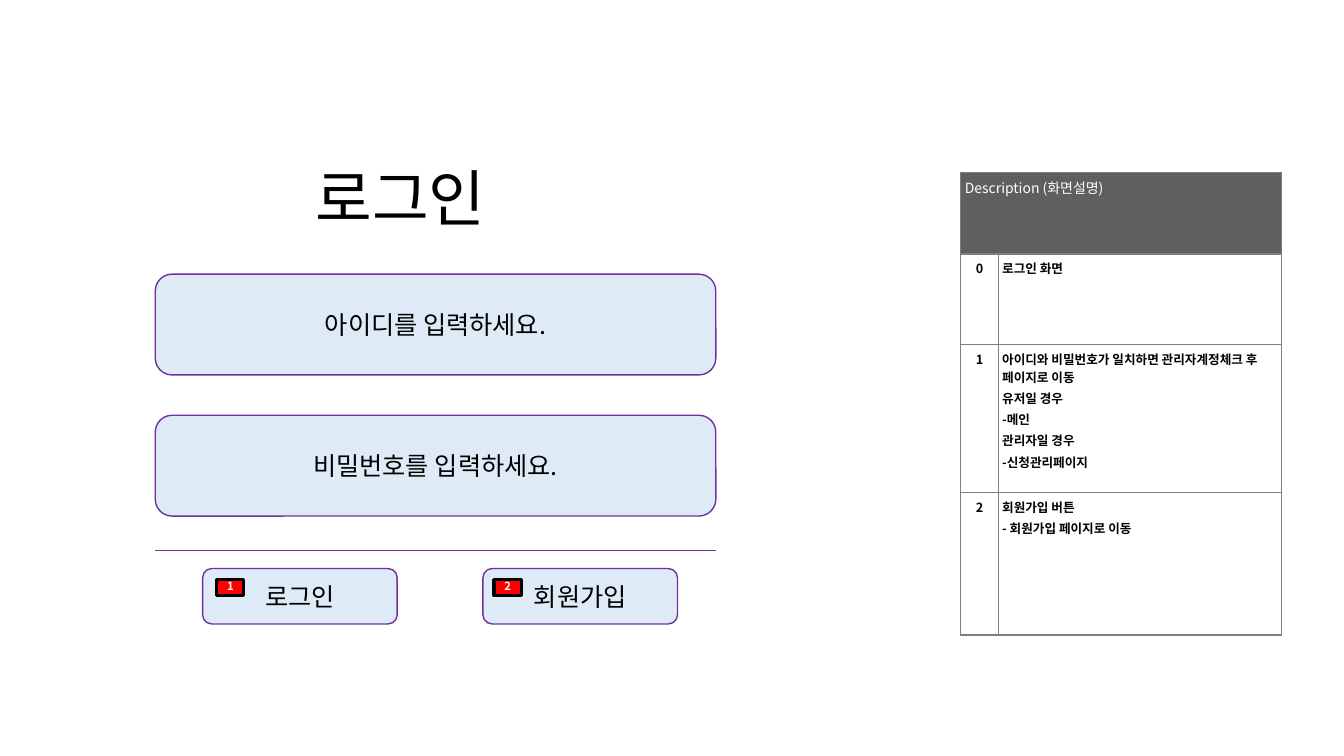
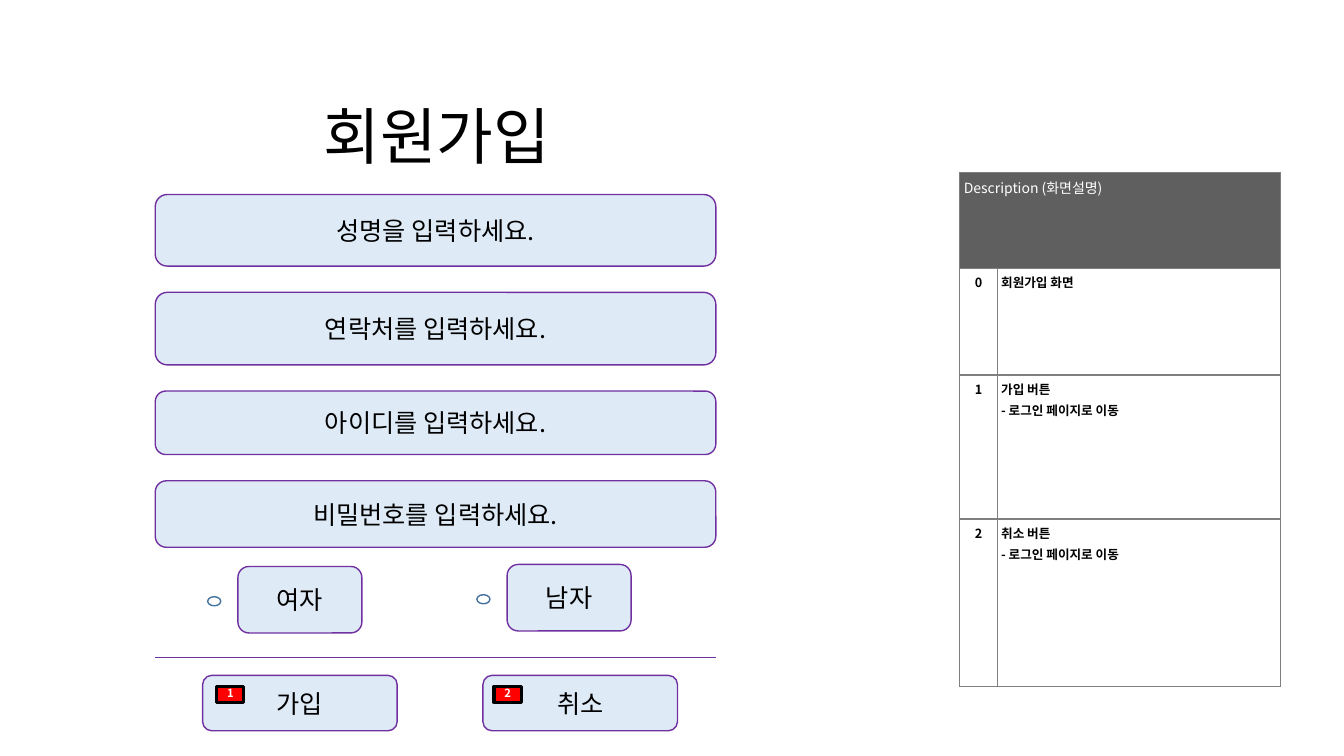
from lxml.etree import SubElement
from pptx import Presentation
from pptx.dml.color import RGBColor
from pptx.enum.shapes import MSO_CONNECTOR as Line, MSO_SHAPE as Shape
from pptx.enum.text import MSO_ANCHOR as Anchor, PP_ALIGN as Align
from pptx.oxml.ns import qn
from pptx.util import Inches, Pt

FONT = "Noto Sans CJK KR"
BLACK, WHITE, RED = "000000", "FFFFFF", "FF0000"
FIELD_BLUE, PURPLE, RADIO_BLUE = "DEEBF7", "7030A0", "43739E"
HEADER_GRAY, BORDER_GRAY = "5F5F5F", "7F7F7F"

FORM_LEFT, FORM_WIDTH = 1.54, 5.56
BUTTON_LEFTS, BADGE_LEFTS = (2.01, 4.79), (2.15, 4.9)


def color(value):
    return RGBColor.from_string(value)


class Wireframe:
    """Holds the deck, its style and the current slide."""

    def __init__(self):
        self.deck = Presentation()
        self.deck.slide_width, self.deck.slide_height = Inches(13.33), Inches(7.5)
        self.slide = None

    def add_text(self, paragraph, text, size, tint=BLACK, bold=False, align=Align.LEFT):
        paragraph.alignment = align
        run = paragraph.add_run()
        run.text = text
        run.font.size, run.font.bold, run.font.name = Pt(size), bold, FONT
        run.font.color.rgb = color(tint)
        SubElement(run.font._element, qn("a:ea"), typeface=FONT)

    def screen(self, title, left, top):
        self.slide = self.deck.slides.add_slide(self.deck.slide_layouts[5])
        heading = self.slide.shapes.title
        heading.left, heading.top = Inches(left), Inches(top)
        heading.width, heading.height = Inches(3.85), Inches(0.84)
        heading.text_frame.vertical_anchor = Anchor.TOP
        self.add_text(heading.text_frame.paragraphs[0], title, 44)

    def shape(self, kind, box, fill, line, weight=1):
        item = self.slide.shapes.add_shape(kind, *map(Inches, box))
        item.shadow.inherit = False
        if fill:
            item.fill.solid()
            item.fill.fore_color.rgb = color(fill)
        else:
            item.fill.background()
        item.line.color.rgb = color(line)
        item.line.width = Pt(weight)
        return item

    def field(self, text, left, top, width, height):
        box = self.shape(Shape.ROUNDED_RECTANGLE, (left, top, width, height),
                         FIELD_BLUE, PURPLE)
        frame = box.text_frame
        frame.word_wrap, frame.vertical_anchor = True, Anchor.MIDDLE
        self.add_text(frame.paragraphs[0], text, 18, align=Align.CENTER)

    def badge(self, number, left, top):
        mark = self.shape(Shape.RECTANGLE, (left, top, 0.27, 0.16), RED, BLACK, 2.25)
        frame = mark.text_frame
        frame.margin_left = frame.margin_right = frame.margin_top = 0
        frame.margin_bottom = Inches(0.03)
        frame.word_wrap, frame.vertical_anchor = False, Anchor.MIDDLE
        self.add_text(frame.paragraphs[0], str(number), 8, WHITE, True, Align.CENTER)

    def radio(self, text, left, top):
        self.field(text, left, top, 1.23, 0.66)
        self.shape(Shape.OVAL, (left - 0.3, top + 0.3, 0.13, 0.09), None, RADIO_BLUE)

    def actions(self, labels, top):
        """Divider with the numbered buttons below it."""
        divider = self.slide.shapes.add_connector(
            Line.STRAIGHT, Inches(FORM_LEFT), Inches(top),
            Inches(FORM_LEFT + FORM_WIDTH), Inches(top))
        divider.line.color.rgb = color(PURPLE)
        divider.line.width = Pt(0.5)
        SubElement(divider._element.spPr, qn("a:effectLst"))
        for label, left in zip(labels, BUTTON_LEFTS):
            self.field(label, left, top + 0.18, 1.93, 0.55)
        for number, left in enumerate(BADGE_LEFTS, 1):
            self.badge(number, left, top + 0.29)

    def cell(self, cell, lines, fill=WHITE, **style):
        properties = cell._tc.get_or_add_tcPr()
        for side in ("lnL", "lnR", "lnT", "lnB"):
            border = SubElement(properties, qn(f"a:{side}"), w=str(Pt(1)))
            solid = SubElement(border, qn("a:solidFill"))
            SubElement(solid, qn("a:srgbClr"), val=BORDER_GRAY)
        cell.fill.solid()
        cell.fill.fore_color.rgb = color(fill)
        cell.margin_left = cell.margin_right = Inches(0.04)
        cell.margin_top = cell.margin_bottom = Inches(0.05)
        frame = cell.text_frame
        for index, text in enumerate(lines):
            paragraph = frame.add_paragraph() if index else frame.paragraphs[0]
            paragraph.space_before = Pt(2)
            self.add_text(paragraph, text, **style)

    def description(self, left, heights, notes):
        table = self.slide.shapes.add_table(
            len(heights), 2, Inches(left), Inches(1.71),
            Inches(3.18), Inches(sum(heights))).table
        table.first_row = table.horz_banding = False
        for column, width in zip(table.columns, (0.37, 2.81)):
            column.width = Inches(width)
        for row, height in zip(table.rows, heights):
            row.height = Inches(height)
        # Header across both columns
        table.cell(0, 0).merge(table.cell(0, 1))
        self.cell(table.cell(0, 0), ["Description (화면설명)"], HEADER_GRAY,
                  size=10, tint=WHITE)
        self.cell(table.cell(0, 1), [], HEADER_GRAY)
        # Numbered notes
        for number, lines in enumerate(notes):
            self.cell(table.cell(number + 1, 0), [str(number)],
                      size=9, bold=True, align=Align.CENTER)
            self.cell(table.cell(number + 1, 1), lines, size=9, bold=True)


def login(page):
    page.screen("로그인", 3.03, 1.54)
    page.description(9.53, (0.81, 0.9, 1.47, 1.41), [
        ["로그인 화면"],
        ["아이디와 비밀번호가 일치하면 관리자계정체크 후 페이지로 이동",
         "유저일 경우", "-메인", "관리자일 경우", "-신청관리페이지"],
        ["회원가입 버튼", "- 회원가입 페이지로 이동"],
    ])
    for prompt, top in (("아이디를", 2.72), ("비밀번호를", 4.12)):
        page.field(f"{prompt} 입력하세요.", FORM_LEFT, top, FORM_WIDTH, 1)
    page.actions(("로그인", "회원가입"), 5.46)


def sign_up(page):
    page.screen("회원가입", 3.11, 0.92)
    page.description(9.52, (0.95, 1.06, 1.43, 1.66), [
        ["회원가입 화면"],
        ["가입 버튼", "- 로그인 페이지로 이동"],
        ["취소 버튼", "- 로그인 페이지로 이동"],
    ])
    prompts = (("성명을", 1.93, 0.71), ("연락처를", 2.9, 0.72),
               ("아이디를", 3.88, 0.63), ("비밀번호를", 4.77, 0.66))
    for prompt, top, height in prompts:
        page.field(f"{prompt} 입력하세요.", FORM_LEFT, top, FORM_WIDTH, height)
    page.radio("여자", 2.36, 5.62)
    page.radio("남자", 5.03, 5.6)
    page.actions(("가입", "취소"), 6.52)


def main():
    page = Wireframe()
    login(page)
    sign_up(page)
    page.deck.save("out.pptx")


if __name__ == "__main__":
    main()
